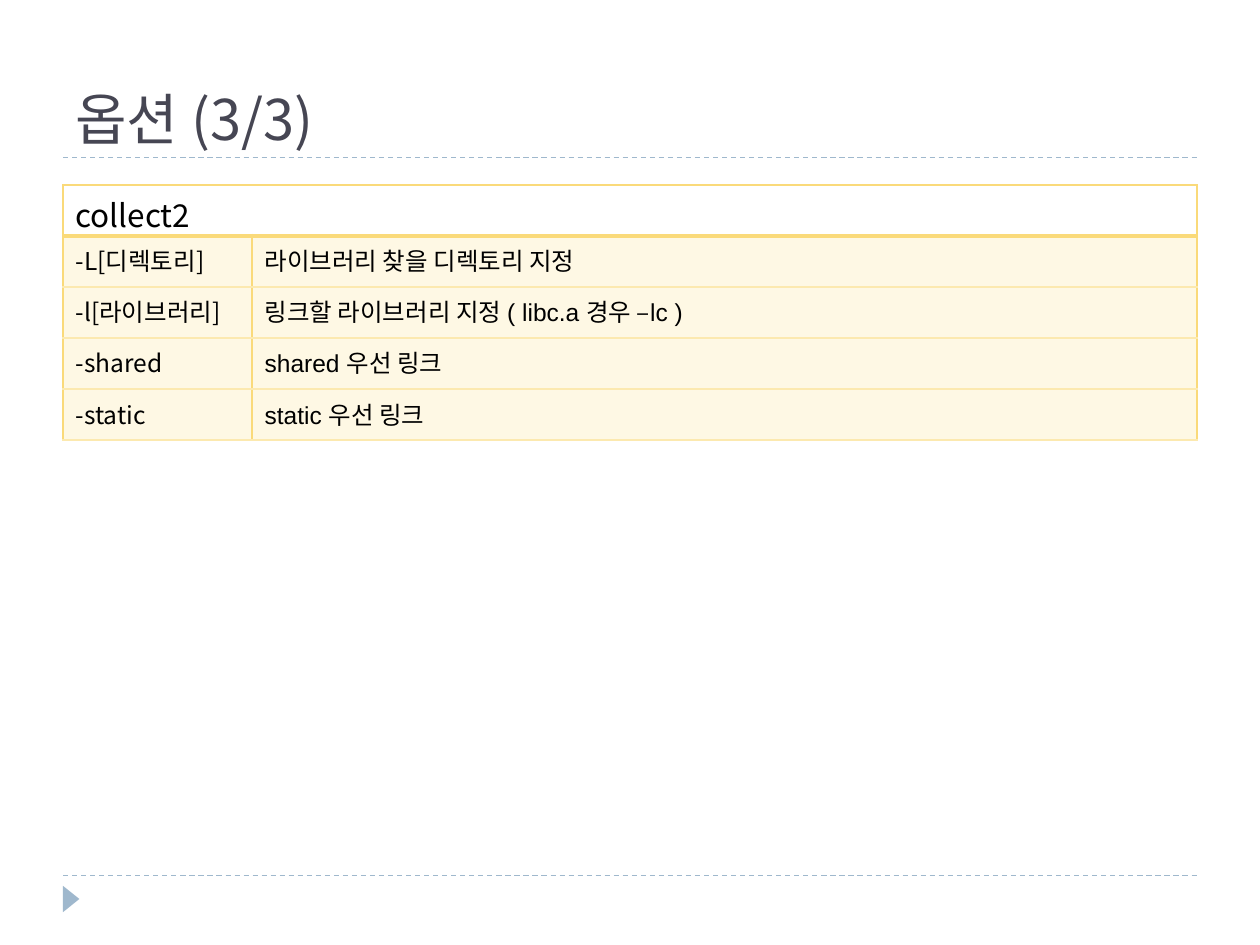
from typing import NamedTuple

from lxml.etree import SubElement
from pptx import Presentation
from pptx.dml.color import RGBColor
from pptx.enum.dml import MSO_LINE as Dash
from pptx.enum.shapes import MSO_CONNECTOR as Link, MSO_SHAPE as Shape
from pptx.enum.text import MSO_ANCHOR as Anchor
from pptx.oxml import parse_xml
from pptx.oxml.ns import nsdecls, qn
from pptx.util import Pt

KOREAN, LATIN = "Noto Sans CJK KR", "Arial"
BLUE, GOLD, PALE, CREAM = "9FB8CD", "FADA7A", "FCE9AF", "FEF8E4"
LEFT, WIDTH, ROW = 36, 648, 29.2


class Option(NamedTuple):
    flag: str
    note: str


class Edge(NamedTuple):
    color: str
    width: float


SIDE, RULE, HEAD = Edge(GOLD, 1), Edge(PALE, 1.5), Edge(GOLD, 3)
OPTIONS = [
    Option("-L[디렉토리]", "라이브러리 찾을 디렉토리 지정"),
    Option("-l[라이브러리]", "링크할 라이브러리 지정 ( libc.a 경우 –lc )"),
    Option("-shared", "shared 우선 링크"),
    Option("-static", "static 우선 링크"),
]


def paint(target, color: str) -> None:
    """Give a fill a solid colour."""
    target.solid()
    target.fore_color.rgb = RGBColor.from_string(color)


def write(frame, text: str, *, size: float, font: str = KOREAN, color: str = "000000") -> None:
    """Put one formatted line of text in a frame."""
    run = frame.paragraphs[0].add_run()
    run.text = text
    run.font.size = Pt(size)
    run.font.bold = False
    run.font.name = font
    paint(run.font.fill, color)
    SubElement(run.font._element, qn("a:ea"), typeface=KOREAN)


def border(cell, top: Edge, base: Edge) -> None:
    """Draw the four edges of a cell."""
    props = cell._tc.get_or_add_tcPr()
    edges = {"lnL": SIDE, "lnR": SIDE, "lnT": top, "lnB": base}
    for spot, (tag, edge) in enumerate(edges.items()):
        props.insert(spot, parse_xml(
            f'<a:{tag} {nsdecls("a")} w="{Pt(edge.width)}"><a:solidFill>'
            f'<a:srgbClr val="{edge.color}"/></a:solidFill></a:{tag}>'))


def divide(slide, y: float) -> None:
    """Draw a dashed line across the slide."""
    line = slide.shapes.add_connector(
        Link.STRAIGHT, Pt(LEFT), Pt(y), Pt(LEFT + WIDTH), Pt(y))
    paint(line.line.fill, BLUE)
    line.line.width = Pt(0.75)
    line.line.dash_style = Dash.DASH
    SubElement(line._element.spPr, qn("a:effectLst"))


def mark(slide) -> None:
    """Draw the footer triangle that points right."""
    shape = slide.shapes.add_shape(
        Shape.ISOSCELES_TRIANGLE, Pt(33.1), Pt(509), Pt(15.1), Pt(9.4))
    shape.rotation = 90
    shape.shadow.inherit = False
    paint(shape.fill, BLUE)
    shape.line.fill.background()


def head(slide, text: str) -> None:
    """Write the slide title above its line."""
    frame = slide.shapes.add_textbox(Pt(LEFT), Pt(12.2), Pt(WIDTH), Pt(77.8)).text_frame
    frame.word_wrap = True
    frame.vertical_anchor = Anchor.BOTTOM
    write(frame, text, size=32, color="464653")


def grid(slide, name: str, options: list[Option]) -> None:
    """Build the table of options under one merged heading."""
    count = len(options) + 1
    table = slide.shapes.add_table(
        count, 2, Pt(LEFT), Pt(105.6), Pt(WIDTH), Pt(ROW * count)).table
    table.horz_banding = table.first_row = False
    for col, width in zip(table.columns, (108, 540)):
        col.width = Pt(width)
    table.cell(0, 0).merge(table.cell(0, 1))
    write(table.cell(0, 0).text_frame, name, size=18)
    for cell in table.rows[0].cells:
        cell.fill.background()
        border(cell, SIDE, HEAD)
    for row, option in enumerate(options, 1):
        for col, (text, font) in enumerate(zip(option, (KOREAN, LATIN))):
            cell = table.cell(row, col)
            paint(cell.fill, CREAM)
            border(cell, HEAD if row == 1 else RULE, RULE)
            write(cell.text_frame, text, size=14, font=font)


def main() -> None:
    """Build and save the slide."""
    deck = Presentation()
    deck.slide_width, deck.slide_height = Pt(720), Pt(540)
    slide = deck.slides.add_slide(deck.slide_layouts[6])
    for y in (500.4, 90):
        divide(slide, y)
    mark(slide)
    head(slide, "옵션 (3/3)")
    grid(slide, "collect2", OPTIONS)
    deck.save("out.pptx")


if __name__ == "__main__":
    main()
